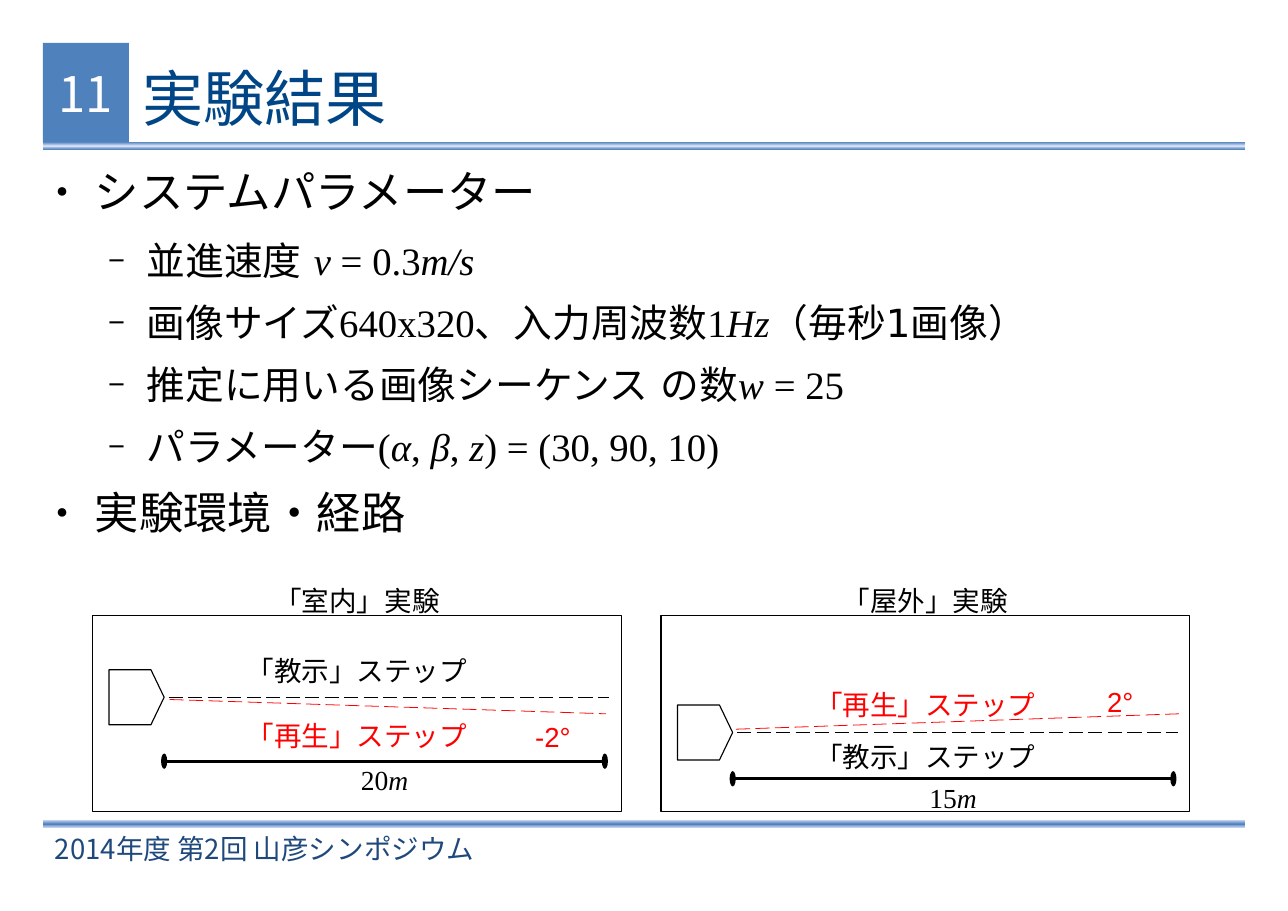
from copy import deepcopy

from lxml import etree
from pptx import Presentation
from pptx.dml.color import RGBColor
from pptx.enum.shapes import MSO_CONNECTOR, MSO_SHAPE
from pptx.enum.text import MSO_ANCHOR, MSO_AUTO_SIZE, PP_ALIGN
from pptx.oxml.ns import qn
from pptx.util import Inches, Pt

RECTANGLE = MSO_SHAPE.RECTANGLE
STRAIGHT = MSO_CONNECTOR.STRAIGHT
LEFT, CENTER = PP_ALIGN.LEFT, PP_ALIGN.CENTER
TOP, MIDDLE = MSO_ANCHOR.TOP, MSO_ANCHOR.MIDDLE

SANS, WIDE, SERIF, CJK = "Arial", "DejaVu Sans", "Times New Roman", "Noto Sans CJK JP"
BLACK, RED, WHITE = "000000", "FF0000", "FFFFFF"
BLUE, PALE, NAVY, TITLE_BLUE = "4F81BD", "DAE1F8", "1F497D", "004586"

TITLE = "実験結果"
NUMBER = "11"
FOOTER = "2014年度 第2回 山彦シンポジウム"
BODY = [
    (0, [("システムパラメーター", SANS, False)]),
    (1, [("並進速度 ", SANS, False), ("v", SERIF, True), (" = 0.3", SERIF, False),
         ("m/s", SERIF, True)]),
    (1, [("画像サイズ", WIDE, False), ("640x320", SERIF, False),
         ("、入力周波数", WIDE, False), ("1", SERIF, False), ("Hz", SERIF, True),
         ("（毎秒1画像）", WIDE, False)]),
    (1, [("推定に用いる画像シーケンス の数", SANS, False), ("w", SERIF, True),
         (" = 25", SERIF, False)]),
    (1, [("パラメーター", WIDE, False), ("(", SERIF, False), ("α", SERIF, True),
         (", ", SERIF, False), ("β", SERIF, True), (", ", SERIF, False),
         ("z", SERIF, True), (") = (30, 90, 10)", SERIF, False)]),
    (0, [("実験環境・経路", SANS, False)]),
]
LEVELS = [
    {"size": 29, "margin": 0.47, "after": 12.8, "bullet": "●", "percent": 45},
    {"size": 25.3, "margin": 0.94, "after": 10.2, "bullet": "−", "percent": 75},
]
PANELS = [
    {"left": 0.84, "title": "「室内」実験", "path_y": 6.33, "teach_top": 5.89,
     "replay_top": 6.48, "replay": (0.7, 0.02, 4.66, 0.15),
     "angle": ("-2°", 3.92, 6.49), "length": "20", "length_y": 6.91},
    {"left": 6, "title": "「屋外」実験", "path_y": 6.65, "teach_top": 6.67,
     "replay_top": 6.2, "replay": (0.68, -0.03, 4.7, -0.17),
     "angle": ("2°", 3.95, 6.17), "length": "15", "length_y": 7.07},
]
PANEL_TOP, PANEL_WIDTH, PANEL_HEIGHT = 5.59, 4.8, 1.78


def color(value):
    return RGBColor.from_string(value)


def add_xml(parent, tag, **attributes):
    return etree.SubElement(parent, qn(tag), attributes)


def add_span(para, text, size, font, value, italic=False, east=WIDE):
    span = para.add_run()
    span.text = text
    span.font.size = Pt(size)
    span.font.name = font
    span.font.italic = italic
    span.font.color.rgb = color(value)
    add_xml(span.font._element, "a:ea", typeface=east)


def set_frame(frame, anchor=TOP, wrap=True, inset=(0, 0)):
    frame.word_wrap = wrap
    frame.auto_size = MSO_AUTO_SIZE.NONE
    frame.vertical_anchor = anchor
    frame.margin_left = frame.margin_right = Inches(inset[0])
    frame.margin_top = frame.margin_bottom = Inches(inset[1])


def move(shape, *place):
    shape.left, shape.top, shape.width, shape.height = map(Inches, place)


def add_text(page, place, spans, align=LEFT, anchor=TOP, wrap=True, inset=(0.1, 0.05)):
    box = page.shapes.add_textbox(*map(Inches, place))
    set_frame(box.text_frame, anchor, wrap, inset)
    para = box.text_frame.paragraphs[0]
    para.alignment = align
    for span in spans:
        add_span(para, *span)


def add_rectangle(page, *place):
    shape = page.shapes.add_shape(RECTANGLE, *map(Inches, place))
    shape.shadow.inherit = False
    shape.line.fill.background()
    return shape


def add_bar(page, top, height, edge, middle):
    bar = add_rectangle(page, 0.39, top, 10.91, height)
    bar.fill.gradient()
    bar.fill.gradient_angle = 90
    stop_list = bar.element.spPr.find(qn("a:gradFill")).find(qn("a:gsLst"))
    stop_list.append(deepcopy(stop_list[0]))
    for stop, position, value in zip(bar.fill.gradient_stops, (0, 0.5, 1), (edge, middle, edge)):
        stop.position = position
        stop.color.rgb = color(value)


def outline(shape):
    shape.shadow.inherit = False
    shape.fill.background()
    shape.line.color.rgb = color(BLACK)
    shape.line.width = Pt(0)


def add_line(page, start, end, value, dashed):
    line = page.shapes.add_connector(STRAIGHT, *map(Inches, (*start, *end)))
    line.line.color.rgb = color(value)
    line.line.width = Pt(0.5 if dashed else 0)
    stroke = line.element.spPr.find(qn("a:ln"))
    if dashed:
        add_xml(add_xml(stroke, "a:custDash"), "a:ds", d="1800000", sp="700000")
    else:
        for tag in ("a:headEnd", "a:tailEnd"):
            add_xml(stroke, tag, type="oval", w="lg", len="sm")
    add_xml(line.element.spPr, "a:effectLst")


def fill_body(frame):
    set_frame(frame)
    for index, (level, spans) in enumerate(BODY):
        para = frame.add_paragraph() if index else frame.paragraphs[0]
        style = LEVELS[level]
        para.level = level
        properties = para._p.get_or_add_pPr()
        properties.set("marL", str(Inches(style["margin"])))
        properties.set("indent", str(Inches(-0.35)))
        add_xml(add_xml(properties, "a:buClr"), "a:srgbClr", val=BLACK)
        add_xml(properties, "a:buSzPct", val=str(style["percent"] * 1000))
        add_xml(properties, "a:buFont", typeface=SANS)
        add_xml(properties, "a:buChar", char=style["bullet"])
        para.space_before = Pt(0)
        para.space_after = Pt(style["after"])
        for text, font, italic in spans:
            add_span(para, text, style["size"], font, BLACK, italic)


def add_panel(page, panel):
    left, path_y, length_y = panel["left"], panel["path_y"], panel["length_y"]
    outline(page.shapes.add_shape(RECTANGLE, *map(
        Inches, (left, PANEL_TOP, PANEL_WIDTH, PANEL_HEIGHT))))
    add_text(page, (left, 5.26, PANEL_WIDTH, 0.39),
             [(panel["title"], 18, SANS, BLACK)], CENTER, MIDDLE)

    back, shoulder, nose = left + 0.15, left + 0.53, left + 0.65
    corners = [(back, path_y - 0.25), (shoulder, path_y - 0.25), (nose, path_y),
               (shoulder, path_y + 0.25), (back, path_y + 0.25)]
    points = [(Inches(x), Inches(y)) for x, y in corners]
    robot = page.shapes.build_freeform(*points[0])
    robot.add_line_segments(points[1:], close=True)
    outline(robot.convert_to_shape())

    start_x, start_y, end_x, end_y = panel["replay"]
    add_line(page, (left + 0.69, path_y), (left + 4.69, path_y), BLACK, True)
    add_line(page, (left + start_x, path_y + start_y), (left + end_x, path_y + end_y), RED, True)
    add_line(page, (nose, length_y), (nose + 4, length_y), BLACK, False)
    add_text(page, (nose, length_y + 0.02, 4, 0.3),
             [(panel["length"], 18, SERIF, BLACK), ("m", 18, SERIF, BLACK, True)],
             CENTER, MIDDLE, inset=(0, 0))

    angle, angle_left, angle_top = panel["angle"]
    for text, offset, top, width, value in [
        ("「教示」ステップ", 1.3, panel["teach_top"], 2.2, BLACK),
        ("「再生」ステップ", 1.3, panel["replay_top"], 2.2, RED),
        (angle, angle_left, angle_top, 0.5, RED),
    ]:
        add_text(page, (left + offset, top, width, 0.39), [(text, 18, SANS, value)], wrap=False)


def main():
    deck = Presentation()
    deck.slide_width, deck.slide_height = Inches(11.69), Inches(8.27)
    page = deck.slides.add_slide(deck.slide_layouts[1])

    add_bar(page, 1.29, 0.07, BLUE, PALE)
    add_bar(page, 7.44, 0.08, PALE, BLUE)
    badge = add_rectangle(page, 0.39, 0.39, 0.78, 0.9)
    badge.fill.solid()
    badge.fill.fore_color.rgb = color(BLUE)
    set_frame(badge.text_frame, MIDDLE)
    number = badge.text_frame.paragraphs[0]
    number.alignment = CENTER
    add_span(number, NUMBER, 32, CJK, WHITE, east=CJK)
    add_text(page, (0.4, 7.52, 6.69, 0.36),
             [(FOOTER, 18, CJK, NAVY, False, CJK)], anchor=MIDDLE)

    title, body = page.placeholders
    move(title, 1.29, 0.41, 9.71, 0.95)
    set_frame(title.text_frame, MIDDLE)
    heading = title.text_frame.paragraphs[0]
    heading.alignment = LEFT
    add_span(heading, TITLE, 39.9, SANS, TITLE_BLUE)
    move(body, 0.39, 1.49, 10.91, 3.7)
    fill_body(body.text_frame)

    for panel in PANELS:
        add_panel(page, panel)
    deck.save("out.pptx")


if __name__ == "__main__":
    main()
